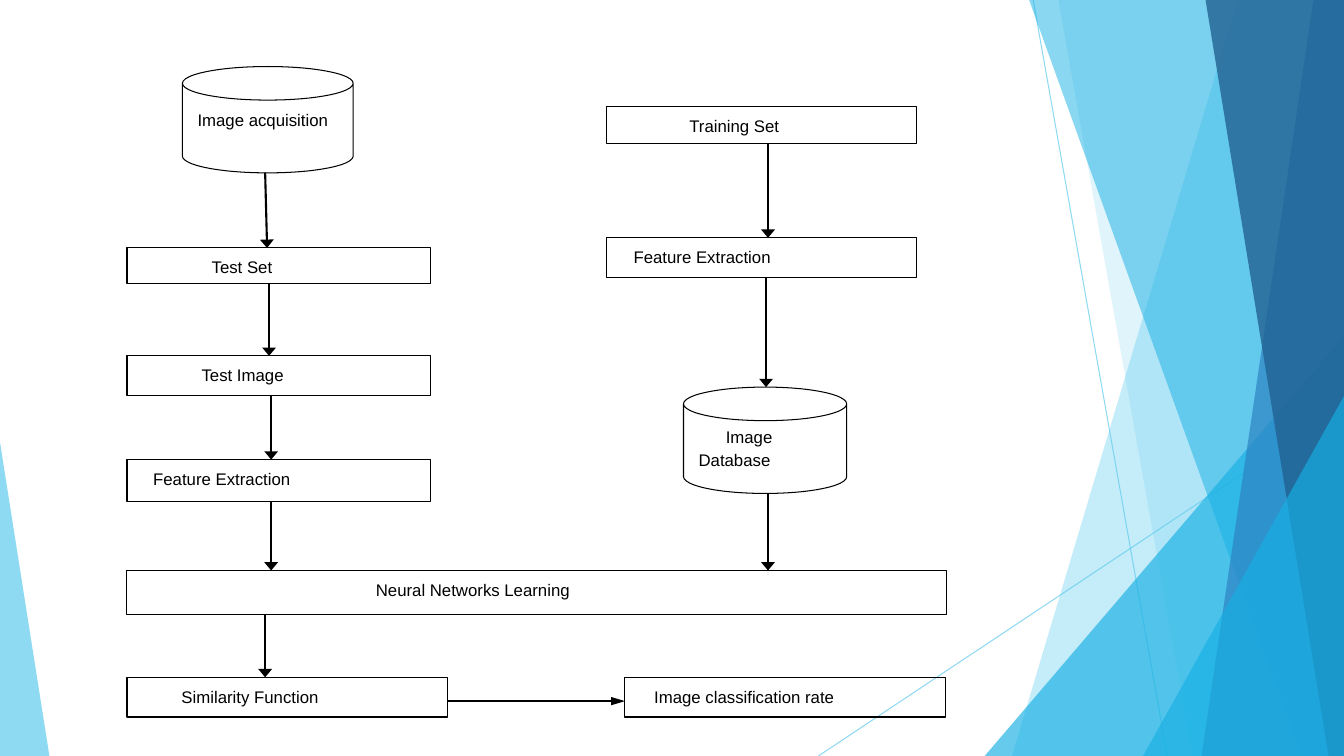
from dataclasses import dataclass
from typing import Any

import lxml.etree
import pptx
import pptx.dml.color
import pptx.enum.shapes
import pptx.enum.text
import pptx.oxml.ns
import pptx.util

Pt = pptx.util.Pt
qn = pptx.oxml.ns.qn
SHAPE = pptx.enum.shapes.MSO_SHAPE
STRAIGHT = pptx.enum.shapes.MSO_CONNECTOR.STRAIGHT

SLIDE_W, SLIDE_H = 960, 540
CAN_H, CAP_H = 76, 24
TEXT_TOP = 4.3


@dataclass(frozen=True)
class Theme:
    ink: str = "000000"
    sky: str = "5FCBEF"
    cyan: str = "17B0E4"
    blue: str = "2E83C3"
    navy: str = "226292"
    font: str = "Arial"
    text_size: float = 12
    line_spacing: float = 1.15
    outline: float = 0.75
    arrow: float = 1.5


THEME = Theme()


@dataclass(frozen=True)
class Facet:
    """Band from a slanted left edge to the right side of the slide."""
    top_x: float
    bottom_x: float
    color: str
    alpha: int


@dataclass(frozen=True)
class Triangle:
    """Triangle standing on the bottom of the slide."""
    left: float
    top: float
    width: float
    apex: float
    color: str
    alpha: int


@dataclass(frozen=True)
class Node:
    left: float
    top: float
    width: float
    height: float
    text: str
    text_left: float
    text_top: float = TEXT_TOP
    first_indent: float = 0
    kind: Any = SHAPE.RECTANGLE


@dataclass(frozen=True)
class Line:
    x1: float
    y1: float
    x2: float
    y2: float


HAIRLINES = [Line(738, 0, 833.8, SLIDE_H), Line(SLIDE_W, 290.2, 584.6, SLIDE_H)]

DECORATION = [
    Facet(884.2, 722.9, THEME.sky, 36),
    Facet(756, 851.8, THEME.sky, 20),
    Triangle(703.4, 239.8, 256.6, 1, THEME.cyan, 66),
    Facet(735.1, 929.5, THEME.cyan, 50),
    Facet(938.2, 858.2, THEME.blue, 70),
    Facet(861.1, 949, THEME.navy, 80),
    Triangle(816.5, 283, 143.5, 1, THEME.cyan, 66),
    Triangle(0, 316, 35.3, 0, THEME.sky, 70),
]

TEST_X, TEST_W = 90.7, 216.7
TRAIN_X, TRAIN_W = 433.4, 221.3
RESULT_Y, RESULT_W, RESULT_H = 483.8, 229, 28.4

NODES = [
    Node(130.3, 47.5, 122, CAN_H, "Image acquisition", 10.8, 5, kind=SHAPE.CAN),
    Node(TRAIN_X, 76.3, TRAIN_W, 26.6, "Training Set", 59),
    Node(TRAIN_X, 169.9, TRAIN_W, 28.4, "Feature Extraction", 19.2),
    Node(488.2, 276.5, 116.6, CAN_H, "Image\nDatabase", 10.8, 2, 19.4, SHAPE.CAN),
    Node(TEST_X, 177.1, TEST_W, 25.6, "Test Set", 60.5),
    Node(TEST_X, 254.2, TEST_W, 28.4, "Test Image", 53.3),
    Node(TEST_X, 328.3, TEST_W, 30.2, "Feature Extraction", 18.7),
    Node(TEST_X, 407.5, 585.4, 31.7, "Neural Networks Learning", 177.8),
    Node(TEST_X, RESULT_Y, RESULT_W, RESULT_H, "Similarity Function", 38.9),
    Node(446.4, RESULT_Y, RESULT_W, RESULT_H, "Image classification rate", 20.9),
]

DOWN_ARROWS = [
    Line(548.6, 102.5, 548.6, 169.9),
    Line(547.2, 197.6, 547.2, 276.5),
    Line(189.4, 123.3, 190.8, 177.1),
    Line(192.2, 202.4, 192.2, 254.2),
    Line(193.7, 282, 193.7, 328.3),
    Line(193.7, 358, 193.7, 407.5),
    Line(189.4, 439.2, 189.4, RESULT_Y),
    Line(548.6, 352.3, 548.6, 407.5),
]
RESULT_ARROW = Line(319.3, 500.8, 446.4, 500.8)


def rgb(color: str) -> pptx.dml.color.RGBColor:
    return pptx.dml.color.RGBColor.from_string(color)


def set_alpha(sp: Any, percent: int) -> None:
    """Make the shape's only colour partly transparent."""
    color = sp._element.spPr.find(".//" + qn("a:srgbClr"))
    lxml.etree.SubElement(color, qn("a:alpha"), val=str(percent * 1000))


def fill_decoration(sp: Any, color: str, alpha: int) -> None:
    sp.shadow.inherit = False
    sp.fill.solid()
    sp.fill.fore_color.rgb = rgb(color)
    set_alpha(sp, alpha)
    sp.line.fill.background()


def add_facet(s: Any, facet: Facet) -> None:
    fb = s.shapes.build_freeform(Pt(facet.top_x), 0)
    corners = [(SLIDE_W, 0), (SLIDE_W, SLIDE_H), (facet.bottom_x, SLIDE_H)]
    fb.add_line_segments([(Pt(x), Pt(y)) for x, y in corners], close=True)
    fill_decoration(fb.convert_to_shape(), facet.color, facet.alpha)


def add_triangle(s: Any, tri: Triangle) -> None:
    sp = s.shapes.add_shape(SHAPE.ISOSCELES_TRIANGLE, Pt(tri.left), Pt(tri.top),
                            Pt(tri.width), Pt(SLIDE_H - tri.top))
    sp.adjustments[0] = tri.apex
    fill_decoration(sp, tri.color, tri.alpha)


def add_line(s: Any, line: Line, color: str, width: float) -> Any:
    cx = s.shapes.add_connector(STRAIGHT, Pt(line.x1), Pt(line.y1),
                                Pt(line.x2), Pt(line.y2))
    cx.line.color.rgb = rgb(color)
    cx.line.width = Pt(width)
    lxml.etree.SubElement(cx._element.spPr, qn("a:effectLst"))
    return cx


def add_arrow(s: Any, line: Line, head_width: str, head_length: str) -> None:
    cx = add_line(s, line, THEME.ink, THEME.arrow)
    lxml.etree.SubElement(cx.line._get_or_add_ln(), qn("a:tailEnd"),
                          type="triangle", w=head_width, len=head_length)


def add_node(s: Any, node: Node) -> None:
    sp = s.shapes.add_shape(node.kind, Pt(node.left), Pt(node.top),
                            Pt(node.width), Pt(node.height))
    if node.kind == SHAPE.CAN:
        sp.adjustments[0] = CAP_H / CAN_H
    sp.shadow.inherit = False
    sp.fill.background()
    sp.line.color.rgb = rgb(THEME.ink)
    sp.line.width = Pt(THEME.outline)
    tf = sp.text_frame
    tf.word_wrap = True
    tf.vertical_anchor = pptx.enum.text.MSO_ANCHOR.TOP
    tf.margin_left, tf.margin_top = Pt(node.text_left), Pt(node.text_top)
    tf.margin_right = tf.margin_bottom = 0
    tf.text = node.text
    for p in tf.paragraphs:
        p.alignment = pptx.enum.text.PP_ALIGN.LEFT
        p.line_spacing = THEME.line_spacing
        p.font.name = THEME.font
        p.font.size = Pt(THEME.text_size)
        p.font.color.rgb = rgb(THEME.ink)
    if node.first_indent:
        tf.paragraphs[0]._p.get_or_add_pPr().set("indent", str(Pt(node.first_indent)))


def main() -> None:
    prs = pptx.Presentation()
    prs.slide_width, prs.slide_height = Pt(SLIDE_W), Pt(SLIDE_H)
    s = prs.slides.add_slide(prs.slide_layouts[6])
    for line in HAIRLINES:
        set_alpha(add_line(s, line, THEME.sky, THEME.outline), 70)
    for part in DECORATION:
        if isinstance(part, Facet):
            add_facet(s, part)
        else:
            add_triangle(s, part)
    for node in NODES:
        add_node(s, node)
    for line in DOWN_ARROWS:
        add_arrow(s, line, "lg", "med")
    add_arrow(s, RESULT_ARROW, "med", "lg")
    prs.save("out.pptx")


if __name__ == "__main__":
    main()
